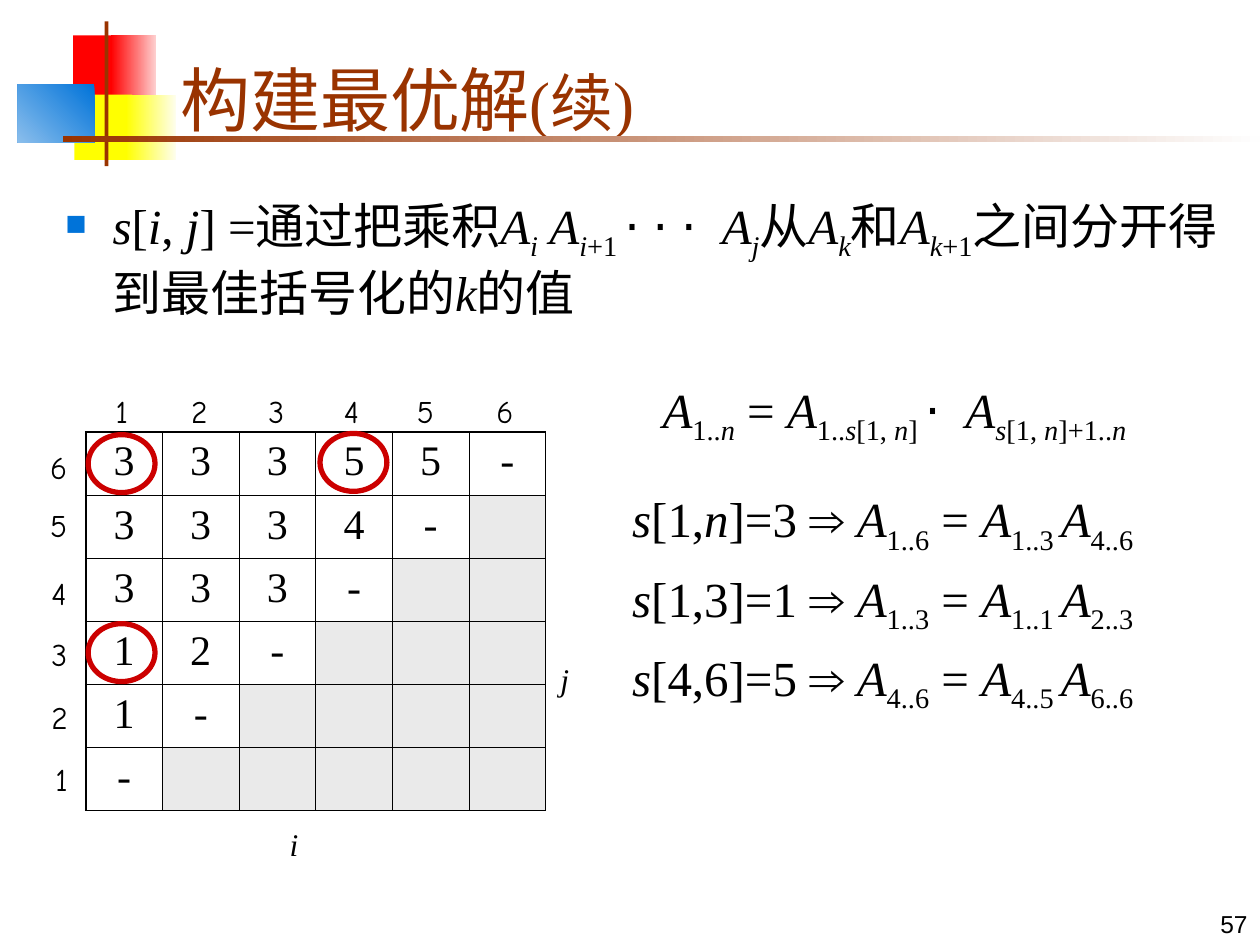
from itertools import groupby

from lxml import etree
from pptx import Presentation
from pptx.dml.color import RGBColor
from pptx.enum import shapes, text
from pptx.oxml.ns import qn
from pptx.util import Pt

COL = {
    "red": "FF0000", "pink": "FED0D0", "yellow": "FFFF00", "cream": "FEFEEF",
    "blue": "0073D9", "sky": "8ABEEC", "brown": "993300", "white": "FEFEFE",
    "black": "000000", "grey": "EAEAEA", "ring": "CC0000",
}
SERIF, HAND, SANS = "Times New Roman", "Comic Neue", "Arial"
KIND = shapes.MSO_SHAPE
LEFT, MID, RIGHT = text.PP_ALIGN.LEFT, text.PP_ALIGN.CENTER, text.PP_ALIGN.RIGHT

SPLITS = ["33355-", "3334-", "333-", "12-", "1-", "-"]
COL_W, ROW_H = 43.8, 35.9


def rgb(name):
    return RGBColor.from_string(COL[name])


def split(mark):
    """Yield (text, italic, sub, symbol); '/' toggles italic, '_' subscript."""
    ital = sub = False
    marks = []
    for char in mark:
        if char == "/":
            ital = not ital
        elif char == "_":
            sub = not sub
        else:
            marks.append((char, ital, sub, char in "⋅⇒"))
    for key, group in groupby(marks, key=lambda m: m[1:]):
        yield ("".join(m[0] for m in group), *key)


def put(para, mark, size=28, font=SERIF, color="black", align=LEFT,
        before=0, left=0, hang=0):
    para.alignment = align
    para.space_before = Pt(before)
    props = para._p.get_or_add_pPr()
    props.set("marL", str(Pt(left)))
    props.set("indent", str(Pt(-hang)))
    for part, ital, sub, sym in split(mark):
        run = para.add_run()
        run.text = part
        run.font.size = Pt(size)
        run.font.name = SANS if sym else font
        run.font.italic = ital
        run.font.color.rgb = rgb(color)
        if sub:
            run._r.get_or_add_rPr().set("baseline", "-25000")


def box(slide, area, lines, wrap=False, anchor=text.MSO_ANCHOR.TOP, **form):
    frame = slide.shapes.add_textbox(*map(Pt, area)).text_frame
    frame.word_wrap = wrap
    frame.vertical_anchor = anchor
    for num, line in enumerate(lines):
        para = frame.add_paragraph() if num else frame.paragraphs[0]
        put(para, line, **form)
    return frame


def bullet(para, color, size):
    props = para._p.get_or_add_pPr()
    tint = etree.SubElement(props, qn("a:buClr"))
    etree.SubElement(tint, qn("a:srgbClr"), val=COL[color])
    etree.SubElement(props, qn("a:buSzPct"), val=str(size * 1000))
    etree.SubElement(props, qn("a:buChar"), char="■")


def block(slide, area, start, end=None, angle=180):
    """Add a rectangle, plain or with a gradient from start to end."""
    rect = slide.shapes.add_shape(KIND.RECTANGLE, *map(Pt, area))
    rect.shadow.inherit = False
    rect.line.fill.background()
    if end is None:
        rect.fill.solid()
        rect.fill.fore_color.rgb = rgb(start)
        return
    rect.fill.gradient()
    rect.fill.gradient_angle = angle
    for stop, name in zip(rect.fill.gradient_stops, (start, end)):
        stop.color.rgb = rgb(name)


def ring(slide, left, top):
    oval = slide.shapes.add_shape(KIND.OVAL, Pt(left), Pt(top), Pt(38.2), Pt(33.1))
    oval.shadow.inherit = False
    oval.fill.background()
    oval.line.color.rgb = rgb("ring")
    oval.line.width = Pt(3)


def edge(cell, widths):
    """Set the cell's left, right, top and bottom borders."""
    props = cell._tc.get_or_add_tcPr()
    for num, (side, width) in enumerate(zip("LRTB", widths)):
        line = etree.Element(qn("a:ln" + side), w=str(Pt(width)))
        fill = etree.SubElement(line, qn("a:solidFill"))
        etree.SubElement(fill, qn("a:srgbClr"), val=COL["black"])
        props.insert(num, line)


def grid(slide):
    size = len(SPLITS)
    table = slide.shapes.add_table(
        size, size, Pt(49), Pt(247), Pt(COL_W * size), Pt(ROW_H * size)).table
    table.first_row = table.horz_banding = False
    for col in table.columns:
        col.width = Pt(COL_W)
    for row in table.rows:
        row.height = Pt(ROW_H)
    last = size - 1
    for r, vals in enumerate(SPLITS):
        for c in range(size):
            cell = table.cell(r, c)
            if c < len(vals):
                cell.fill.background()
                put(cell.text_frame.paragraphs[0], vals[c], size=24,
                    align=MID, before=6)
            else:
                cell.fill.solid()
                cell.fill.fore_color.rgb = rgb("grey")
            outer = (c == 0, c == last, r == 0, r == last)
            edge(cell, [1.08 if out else 0.45 for out in outer])


def labels(slide):
    form = dict(size=18, font=HAND)
    lefts = [59, 102.2, 146.2, 189.4, 231.1, 276.5]
    for num, left in enumerate(lefts, 1):
        box(slide, (left, 220.3, 23, 28.8), [str(num)], **form)
    spots = [(24.5, 430.6), (22.3, 395.3), (22.3, 359.3),
             (22.3, 324.7), (21.6, 285.8), (21.6, 252.7)]
    for num, spot in enumerate(spots, 1):
        box(slide, (*spot, 23, 28.8), [str(num)], **form)
    box(slide, (158.4, 468, 19.4, 28.8), ["/i/"], size=18)
    box(slide, (313.2, 373.7, 19.4, 28.8), ["/j/"], size=18)


def decor(slide):
    block(slide, (41.8, 20.2, 25.2, 37.4), "red")
    block(slide, (63.4, 20.2, 25.9, 37.4), "pink", "red")
    block(slide, (42.5, 54, 33.1, 37.4), "yellow")
    block(slide, (72, 54, 28.8, 37.4), "cream", "yellow")
    block(slide, (10.1, 48.2, 43.9, 33.1), "blue", "sky", angle=225)
    block(slide, (59.8, 12.2, 2.2, 82.8), "brown")
    block(slide, (36, 77.8, 684, 3.6), "white", "brown")


def head(slide):
    title = slide.shapes.title
    title.left, title.top, title.width, title.height = map(
        Pt, (95.8, 18, 613.4, 66.2))
    frame = title.text_frame
    frame.auto_size = text.MSO_AUTO_SIZE.NONE
    frame.vertical_anchor = text.MSO_ANCHOR.BOTTOM
    put(frame.paragraphs[0], "构建最优解", size=40, color="brown")
    put(frame.paragraphs[0], "(续)", size=36, color="brown")


def main():
    deck = Presentation()
    deck.slide_width, deck.slide_height = Pt(720), Pt(540)
    slide = deck.slides.add_slide(deck.slide_layouts[5])
    decor(slide)
    head(slide)
    body = box(slide, (30.2, 108, 675.4, 94.3), [
        "/s/[/i/,/ j/] =通过把乘积/A_i_ A_i_/_+1 _⋅⋅⋅ /A_j_/从/A_k_/和/A_k_/_+1_"
        "之间分开得到最佳括号化的/k/的值"], wrap=True, before=7, left=27, hang=27)
    bullet(body.paragraphs[0], "blue", 60)
    grid(slide)
    labels(slide)
    box(slide, (354.2, 275.8, 345.6, 170.6), [
        "/s/[1,/n/]=3 ⇒ /A/_1..6_ = /A/_1..3 _/A/_4..6_",
        "/s/[1,3]=1 ⇒ /A/_1..3_ = /A/_1..1 _/A/_2..3_",
        "/s/[4,6]=5 ⇒ /A/_4..6_ = /A/_4..5 _/A/_6..6_",
    ], wrap=True, before=7, left=27, hang=27)
    for spot in [(50.4, 248.4), (50.4, 356.4), (182.9, 247.7)]:
        ring(slide, *spot)
    box(slide, (335.5, 213.1, 318.2, 45.4), [
        "/A/_1../n/_ = /A/_1../s/[1, /n/] _⋅ /A_s/[1, /n/]+1../n/_"],
        before=7, left=36)
    box(slide, (570.2, 504, 149.8, 36), ["57"], wrap=True, size=14, font=SANS,
        align=RIGHT, anchor=text.MSO_ANCHOR.BOTTOM)
    deck.save("out.pptx")


if __name__ == "__main__":
    main()
